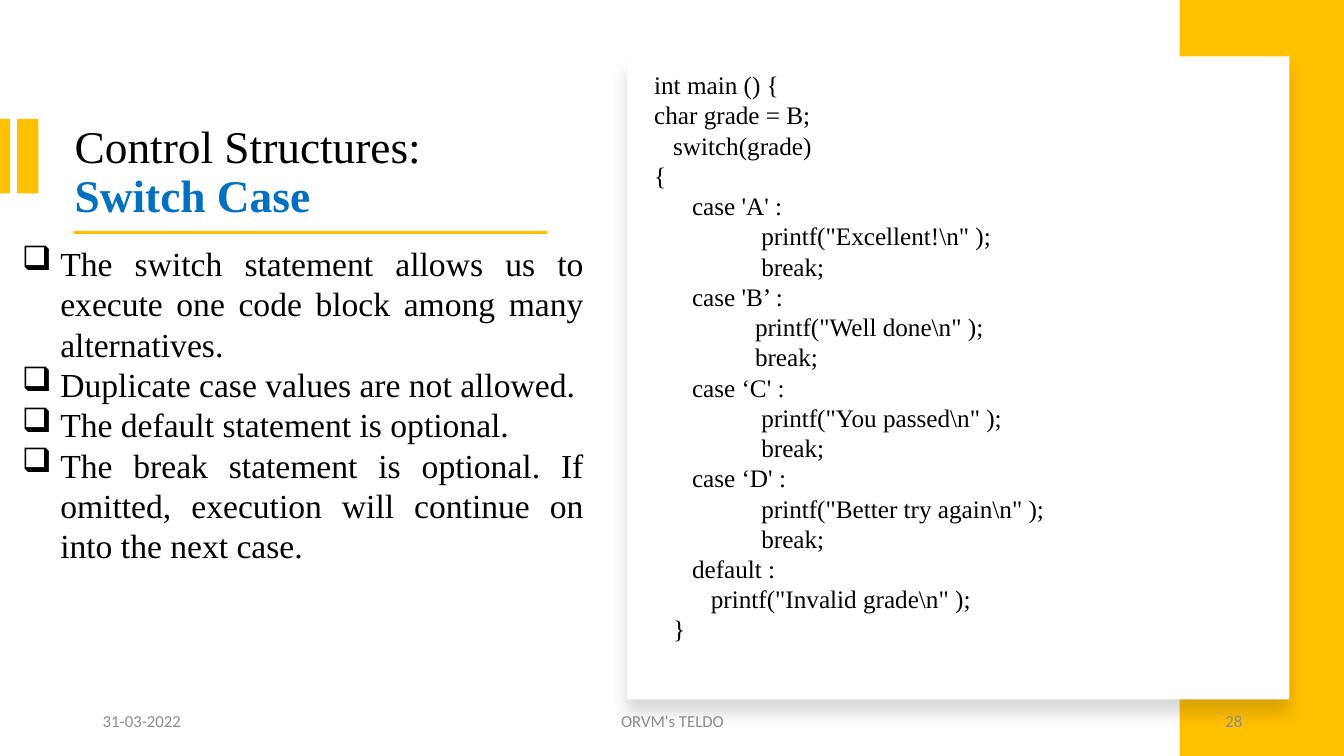
"""Build the Switch Case slide: bullet notes beside a C code card."""
from lxml import etree
from pptx import Presentation
from pptx.dml.color import RGBColor
from pptx.enum.shapes import MSO_SHAPE
from pptx.enum.text import MSO_ANCHOR, MSO_AUTO_SIZE, PP_ALIGN
from pptx.oxml.ns import qn
from pptx.util import Inches, Pt

RECT = MSO_SHAPE.RECTANGLE
LEFT, CENTER, RIGHT, JUSTIFY = PP_ALIGN.LEFT, PP_ALIGN.CENTER, PP_ALIGN.RIGHT, PP_ALIGN.JUSTIFY
TOP, MIDDLE, BOTTOM = MSO_ANCHOR.TOP, MSO_ANCHOR.MIDDLE, MSO_ANCHOR.BOTTOM
SERIF, SANS = "Times New Roman", "Calibri"
COLORS = {"black": "000000", "blue": "0070C0", "gold": "FFC000", "white": "FFFFFF", "gray": "8C8C8C"}

TITLE = [("Control Structures:", "black", False), ("Switch Case", "blue", True)]
BULLETS = [
    "The switch statement allows us to execute one code block among many alternatives.",
    "Duplicate case values are not allowed.",
    "The default statement is optional.",
    "The break statement is optional. If omitted, execution will continue on into the next case.",
]
CODE = [
    (0, "int main () {"),
    (0, "char grade = B;"),
    (3, "switch(grade)"),
    (0, "{"),
    (6, "case 'A' :"),
    (17, 'printf("Excellent!\\n" );'),
    (17, "break;"),
    (6, "case 'B’ :"),
    (16, 'printf("Well done\\n" );'),
    (16, "break;"),
    (6, "case ‘C' :"),
    (17, 'printf("You passed\\n" );'),
    (17, "break;"),
    (6, "case ‘D' :"),
    (17, 'printf("Better try again\\n" );'),
    (17, "break;"),
    (6, "default :"),
    (9, 'printf("Invalid grade\\n" );'),
    (3, "}"),
]
CODE_STEP = Pt(4.5)
FOOTERS = [
    ("31-03-2022", 0.92, 3, LEFT),
    ("ORVM's TELDO", 4.42, 4.5, CENTER),
    ("28", 9.42, 3, RIGHT),
]
GOLD_BARS = [
    (0, 1.18, 0.1, 0.74),
    (0.17, 1.18, 0.21, 0.74),
    (0.73, 2.29, 4.7, 0.03),
    (11.7, 0, 1.63, 7.5),
]
CARD = (6.22, 0.56, 6.57, 6.38)


def box(at):
    return [Inches(v) for v in at]


def style(r, size, font, color, bold=False):
    r.font.size, r.font.name, r.font.bold = Pt(size), font, bold
    r.font.color.rgb = RGBColor.from_string(COLORS[color])


def add_rect(s, at, color):
    sp = s.shapes.add_shape(RECT, *box(at))
    sp.shadow.inherit = False
    sp.fill.solid()
    sp.fill.fore_color.rgb = RGBColor.from_string(COLORS[color])
    sp.line.fill.background()
    return sp


def add_text(s, at, lines, size, font, color, align=LEFT, anchor=TOP):
    tf = s.shapes.add_textbox(*box(at)).text_frame
    tf.word_wrap = True
    tf.vertical_anchor = anchor
    tf.text = "\n".join(lines)
    for p in tf.paragraphs:
        p.alignment = align
        style(p.runs[0], size, font, color)
    return tf


def add_shadow(sp):
    effects = sp._element.spPr.find(qn("a:effectLst"))
    shadow = etree.SubElement(effects, qn("a:outerShdw"), blurRad=str(Pt(11)), dist=str(Pt(10)),
                              dir="5400000", algn="t", rotWithShape="0")
    color = etree.SubElement(shadow, qn("a:srgbClr"), val=COLORS["black"])
    etree.SubElement(color, qn("a:alpha"), val="15000")


def set_title(s):
    title = s.shapes.title
    title.left, title.top, title.width, title.height = box((0.64, 0.94, 4.99, 1.27))
    tf = title.text_frame
    tf.auto_size = MSO_AUTO_SIZE.NONE
    tf.word_wrap = True
    tf.vertical_anchor = BOTTOM
    tf.margin_bottom = 0
    p = tf.paragraphs[0]
    p.alignment, p.line_spacing = LEFT, 0.9
    for i, (text, color, bold) in enumerate(TITLE):
        if i:
            p.add_line_break()
        r = p.add_run()
        r.text = text
        style(r, 32.4, SERIF, color, bold)


def main():
    prs = Presentation()
    prs.slide_width, prs.slide_height = Inches(13.33), Inches(7.5)
    s = prs.slides.add_slide(prs.slide_layouts[5])
    set_title(s)

    for at in GOLD_BARS:
        add_rect(s, at, "gold")
    add_shadow(add_rect(s, CARD, "white"))

    for text, left, width, align in FOOTERS:
        add_text(s, (left, 6.95, width, 0.4), [text], 12, SANS, "gray", align, MIDDLE)

    tf = add_text(s, (0.12, 2.36, 5.77, 3.74), BULLETS, 24, SERIF, "black", JUSTIFY)
    for p in tf.paragraphs:
        pPr = p._p.get_or_add_pPr()
        pPr.set("marL", str(Inches(0.38)))
        pPr.set("indent", str(-Inches(0.38)))
        etree.SubElement(pPr, qn("a:buChar"), char="❑")

    tf = add_text(s, (6.39, 0.64, 6.67, 6.16), [text for _, text in CODE], 18, SERIF, "black")
    for p, (spaces, _) in zip(tf.paragraphs, CODE):
        p._p.get_or_add_pPr().set("marL", str(spaces * CODE_STEP))

    prs.save("out.pptx")


if __name__ == "__main__":
    main()
